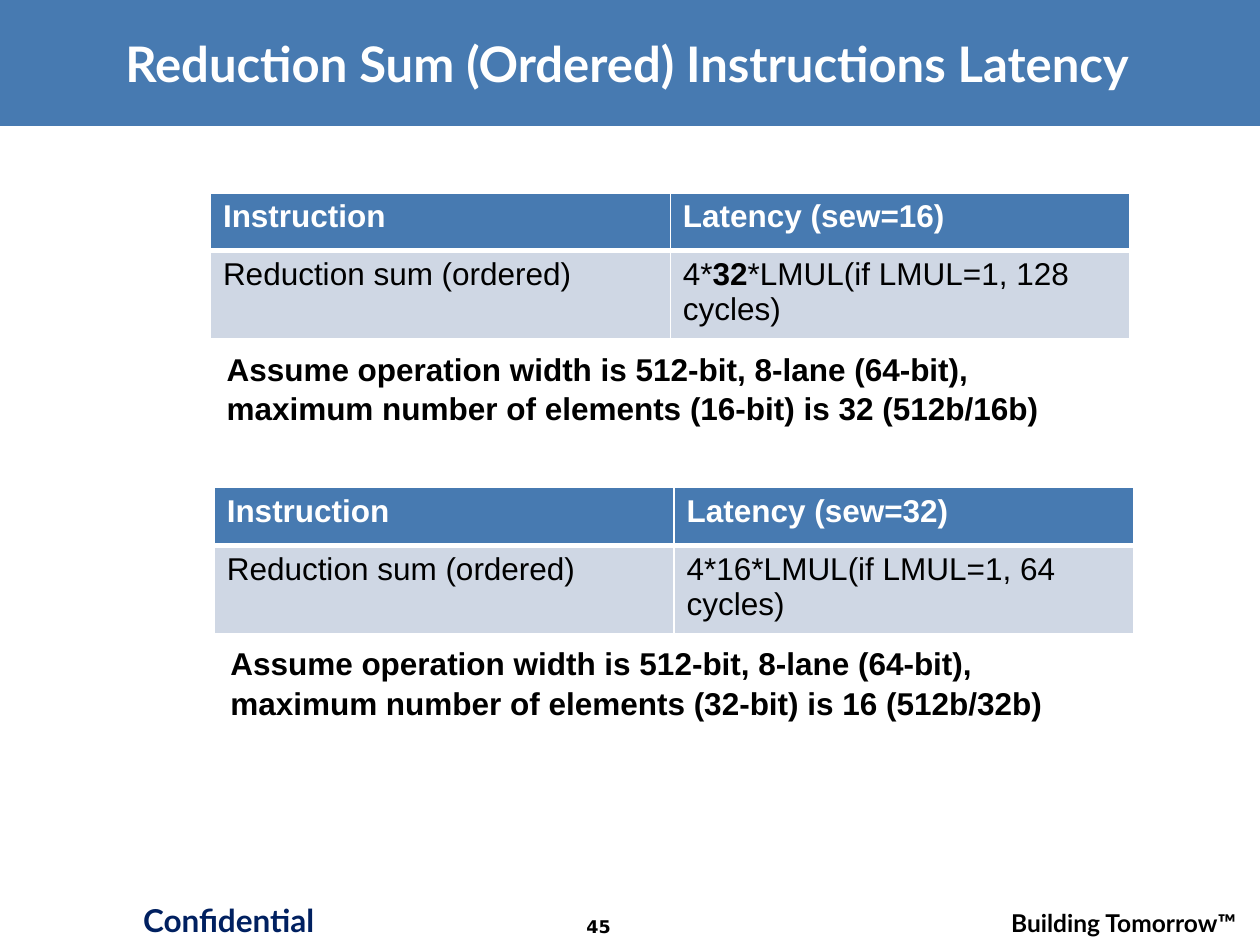
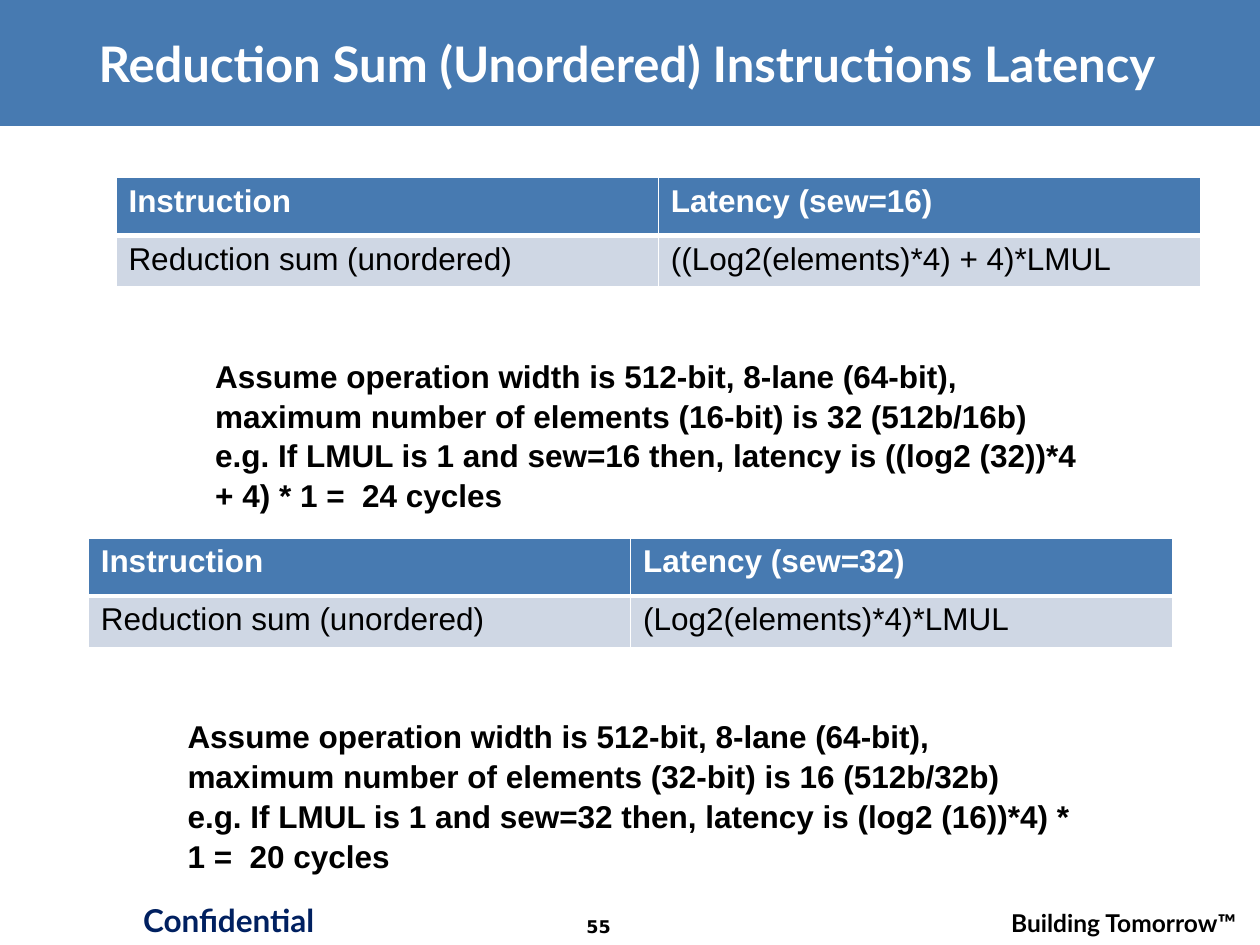
from lxml import etree
from pptx import Presentation
from pptx import util as u
from pptx.dml.color import RGBColor
from pptx.enum import shapes, text
from pptx.oxml import ns

BLUE, PALE, NAVY, WHITE, BLACK = "477AB1", "CFD7E4", "002060", "FFFFFF", "000000"
HEADING_FONT, BODY_FONT, NUMBER_FONT = "Lato", "Arial", "DejaVu Sans"
LEFT, CENTER, RIGHT = text.PP_ALIGN.LEFT, text.PP_ALIGN.CENTER, text.PP_ALIGN.RIGHT
HEADER_HEIGHT = 0.46


def color(value):
    return RGBColor.from_string(value)


def set_font(font, size, name, value, bold=True):
    font.size, font.name, font.bold = u.Pt(size), name, bold
    font.color.rgb = color(value)


def solid_fill(parent, value):
    fill = etree.SubElement(parent, ns.qn("a:solidFill"))
    etree.SubElement(fill, ns.qn("a:srgbClr"), val=value)


class Deck:
    def __init__(self):
        self.presentation = Presentation()
        self.presentation.slide_width = u.Inches(10)
        self.presentation.slide_height = u.Inches(7.5)
        self.slide = None

    def add_slide(self, title, number):
        self.slide = self.presentation.slides.add_slide(self.presentation.slide_layouts[6])
        # Title band
        band = self.slide.shapes.add_shape(
            shapes.MSO_SHAPE.RECTANGLE, 0, 0, u.Inches(10), u.Inches(1))
        band.shadow.inherit = False
        band.fill.solid()
        band.fill.fore_color.rgb = color(BLUE)
        band.line.fill.background()
        # Footer
        self.add_text((0.94, 7.1, 1.75, 0.42), ["Confidential"], 18, HEADING_FONT, NAVY, CENTER)
        self.add_text((7.54, 7.16, 2.37, 0.27), ["Building Tomorrow™"], 14,
                      HEADING_FONT, BLACK, RIGHT)
        self.add_text((4.29, 7.22, 0.92, 0.28), [str(number)], 10, NUMBER_FONT, BLACK, CENTER)
        self.add_title(title)

    def add_title(self, title):
        frame = self.add_text((0.22, 0.17, 9.51, 0.66), [title], 28, HEADING_FONT, WHITE, CENTER)
        frame.vertical_anchor = text.MSO_ANCHOR.MIDDLE
        run = frame.paragraphs[0].runs[0]
        set_font(run.font, 28, HEADING_FONT, WHITE)
        # Text shadow, placed right after the run's fill
        effects = etree.Element(ns.qn("a:effectLst"))
        shadow = etree.SubElement(effects, ns.qn("a:outerShdw"),
                                  dist="38100", dir="2700000", algn="tl")
        etree.SubElement(shadow, ns.qn("a:srgbClr"), val=BLACK)
        run.font._element.find(ns.qn("a:solidFill")).addnext(effects)

    def add_text(self, box, lines, size, name, value, align=LEFT, spacing=1.0):
        shape = self.slide.shapes.add_textbox(*map(u.Inches, box))
        frame = shape.text_frame
        frame.word_wrap = True
        for index, line in enumerate(lines):
            paragraph = frame.add_paragraph() if index else frame.paragraphs[0]
            paragraph.text = line
            paragraph.alignment = align
            paragraph.line_spacing = spacing
            set_font(paragraph.font, size, name, value)
        return frame

    def add_latency_table(self, left, top, width, body_height, rows):
        heights = (HEADER_HEIGHT, body_height)
        table = self.slide.shapes.add_table(
            2, 2, *map(u.Inches, (left, top, width, sum(heights)))).table
        for column in table.columns:
            column.width = u.Inches(width / 2)
        for row_index, (height, values) in enumerate(zip(heights, rows)):
            table.rows[row_index].height = u.Inches(height)
            for column_index, value in enumerate(values):
                self.fill_cell(table.cell(row_index, column_index), value, row_index == 0)

    def fill_cell(self, cell, value, header):
        cell.fill.solid()
        cell.fill.fore_color.rgb = color(BLUE if header else PALE)
        paragraph = cell.text_frame.paragraphs[0]
        set_font(paragraph.font, 18, BODY_FONT, WHITE if header else BLACK, header)
        # Bars set off the bold part of a value
        for index, part in enumerate(value.split("|")):
            run = paragraph.add_run()
            run.text = part
            run.font.bold = header or index % 2 == 1
        # White borders, thick between header and body
        widths = {"L": 1, "R": 1, "T": 1 if header else 3, "B": 3 if header else 1}
        properties = cell._tc.get_or_add_tcPr()
        for index, (side, width) in enumerate(widths.items()):
            line = etree.Element(ns.qn(f"a:ln{side}"), w=str(u.Pt(width)))
            solid_fill(line, WHITE)
            properties.insert(index, line)

    def add_case(self, place, body_height, note_offset, order, bits, formula, example=None):
        """Place a latency table and the note that explains it."""
        left, top, width = place
        self.add_latency_table(left, top, width, body_height, [
            ("Instruction", f"Latency (sew={bits})"),
            (f"Reduction sum ({order})", formula)])
        lines = ["Assume operation width is 512-bit, 8-lane (64-bit), maximum number of "
                 f"elements ({bits}-bit) is {512 // bits} (512b/{bits}b)"]
        if example:
            lines.append(f"e.g. If LMUL is 1 and sew={bits} then, latency is {example}")
        box = (left + note_offset[0], top + note_offset[1], 7.24, 1.31 if example else 0.71)
        self.add_text(box, lines, 18, BODY_FONT, BLACK, spacing=1.05)


def main():
    deck = Deck()

    # Ordered sum
    deck.add_slide("Reduction Sum (Ordered) Instructions Latency", 45)
    offset = (0.03, 1.18)
    deck.add_case((1.67, 1.53, 7.3), 0.65, offset, "ordered", 16,
                  "4*|32|*LMUL(if LMUL=1, 128 cycles)")
    deck.add_case((1.7, 3.87, 7.3), 0.7, offset, "ordered", 32,
                  "4*16*LMUL(if LMUL=1, 64 cycles)")

    # Unordered sum
    deck.add_slide("Reduction Sum (Unordered) Instructions Latency", 55)
    offset = (0.69, 1.36)
    deck.add_case((0.92, 1.41, 8.61), 0.41, offset, "unordered", 16,
                  "((Log2(elements)*4) + 4)*LMUL", "((log2 (32))*4 + 4) * 1 =  24 cycles")
    deck.add_case((0.7, 4.27, 8.61), 0.41, offset, "unordered", 32,
                  "(Log2(elements)*4)*LMUL", "(log2 (16))*4) * 1 =  20 cycles")

    deck.presentation.save("out.pptx")


if __name__ == "__main__":
    main()
